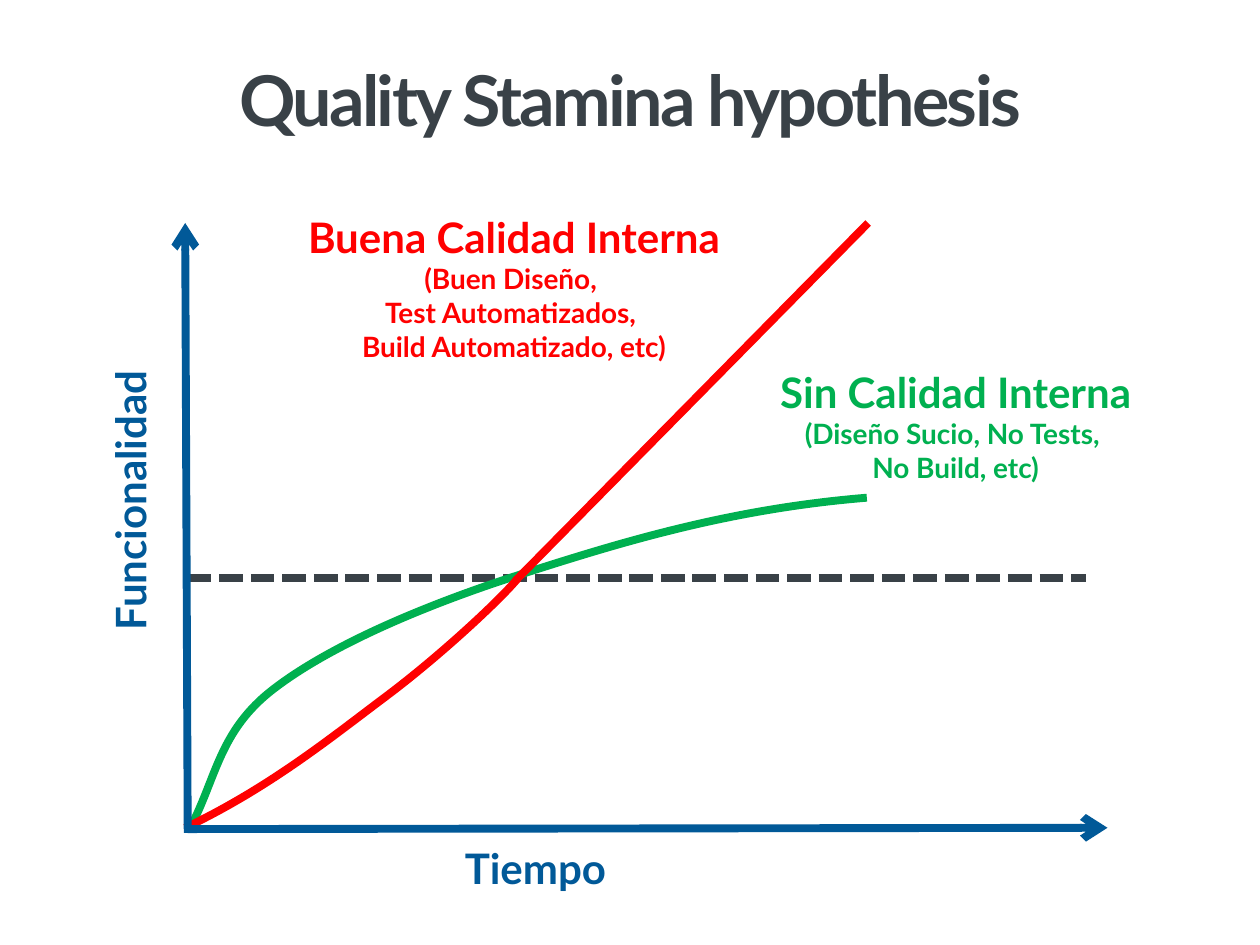
import copy

import pptx
import pptx.util
import pptx.dml.color
import pptx.enum.dml
import pptx.enum.shapes
import pptx.enum.text
import pptx.oxml
import pptx.oxml.ns

# The grid: 100 columns by 75 rows
COLS, ROWS = 100, 75
CELL = pptx.util.Inches(0.1)

HUES = {"ink": "394147", "axis": "015998", "good": "FF0000", "poor": "00B050"}
FACE = "Lato"
WIDE = pptx.util.Pt(4.5)
MID = pptx.enum.text.PP_ALIGN.CENTER
qn = pptx.oxml.ns.qn


def grid(*vals):
    return [round(val * CELL) for val in vals]


def tint(hue):
    return pptx.dml.color.RGBColor.from_string(HUES[hue])


def style(font, size, hue):
    look = {"name": FACE, "size": pptx.util.Pt(size), "bold": True}
    for key, val in look.items():
        setattr(font, key, val)
    font.color.rgb = tint(hue)


def stroke(shape, hue):
    shape.line.color.rgb = tint(hue)
    shape.line.width = WIDE


def add_line(slide, start, end, hue, dash=None, arrow=False):
    kind = pptx.enum.shapes.MSO_CONNECTOR.STRAIGHT
    line = slide.shapes.add_connector(kind, *grid(*start, *end))
    stroke(line, hue)
    if dash:
        line.line.dash_style = dash
    if arrow:
        tip = pptx.oxml.parse_xml(
            f'<a:tailEnd {pptx.oxml.ns.nsdecls("a")} type="arrow"/>')
        line.line._get_or_add_ln().append(tip)
    props = line._element.spPr
    props.append(props.makeelement(qn("a:effectLst"), {}))


def add_curve(slide, start, points, hue):
    """Draw Bezier pieces; each takes three of the points."""
    pen = slide.shapes.build_freeform(*grid(*start))
    pen.add_line_segments([grid(*spot) for spot in points], close=False)
    curve = pen.convert_to_shape()
    # Join each three line steps into one cubic piece
    steps = list(curve._element.iter(qn("a:lnTo")))
    for i in range(0, len(steps), 3):
        head, *rest = steps[i:i + 3]
        bend = head.makeelement(qn("a:cubicBezTo"), {})
        head.addprevious(bend)
        for step in (head, *rest):
            bend.append(step[0])
            step.getparent().remove(step)
    curve.fill.background()
    stroke(curve, hue)
    curve.shadow.inherit = False


def add_text(slide, box, lines, hue, wrap=False, align=None, vert=None):
    """Put the lines in one paragraph: the first at 24 pt, the rest at 16."""
    shape = slide.shapes.add_textbox(*grid(*box))
    frame = shape.text_frame
    look = {"word_wrap": wrap,
            "auto_size": pptx.enum.text.MSO_AUTO_SIZE.SHAPE_TO_FIT_TEXT}
    for key, val in look.items():
        setattr(frame, key, val)
    if vert:
        frame._txBody.bodyPr.set("vert", vert)
    para = frame.paragraphs[0]
    para.alignment = align
    for i, words in enumerate(lines):
        if i:
            para.add_line_break()
            # The break takes the format of the line it ends
            para._p[-1].append(copy.deepcopy(run._r.rPr))
        run = para.add_run()
        run.text = words
        style(run.font, 16 if i else 24, hue)


def add_title(slide, words):
    title = slide.shapes.title
    spots = dict(zip(("left", "top", "width", "height"), grid(5, 4.5, 90, 6.7)))
    for key, val in spots.items():
        setattr(title, key, val)
    frame = title.text_frame
    frame.vertical_anchor = pptx.enum.text.MSO_ANCHOR.MIDDLE
    para = frame.paragraphs[0]
    para.alignment = MID
    run = para.add_run()
    run.text = words
    style(run.font, 40, "ink")
    run._r.rPr.set("spc", "-150")


def main():
    deck = pptx.Presentation()
    deck.slide_width, deck.slide_height = grid(COLS, ROWS)
    slide = deck.slides.add_slide(deck.slide_layouts[5])

    # Threshold
    add_line(slide, (14.9, 45.9), (86.2, 45.9), "ink",
             dash=pptx.enum.dml.MSO_LINE.SQUARE_DOT)

    # Growth without and with internal quality
    add_curve(slide, (15.1, 65.7), [
        (17.2, 61.7), (17.4, 58), (21.7, 54.7),
        (26.1, 51.3), (33.5, 48.1), (41.3, 45.6),
        (49.1, 43.1), (57.8, 40.4), (68.8, 39.5)], "poor")
    add_line(slide, (40.9, 46.1), (68.9, 17.7), "good")
    add_curve(slide, (14.7, 65.7), [
        (21.4, 62.5), (26.2, 58.6), (30.6, 55.3),
        (35, 52), (39.8, 47.5), (41.1, 45.9)], "good")

    add_title(slide, "Quality Stamina hypothesis")

    # Axes
    add_line(slide, (14.9, 66.1), (14.7, 17.7), "axis", arrow=True)
    add_line(slide, (14.9, 65.8), (87.9, 65.7), "axis", arrow=True)

    # Labels
    add_text(slide, (35.9, 66.4, 15.1, 5), ["Tiempo"], "axis")
    add_text(slide, (15, 16.3, 51.6, 13.1),
             ["Buena Calidad Interna", "(Buen Diseño, ",
              "Test Automatizados, ", "Build Automatizado, etc)"],
             "good", wrap=True, align=MID)
    add_text(slide, (7.8, 25.4, 6.1, 25.6), ["Funcionalidad"], "axis",
             vert="vert270")
    add_text(slide, (57.3, 28.6, 37.1, 10.4),
             ["Sin Calidad Interna", "(Diseño Sucio, No Tests, ",
              "No Build, etc)"],
             "poor", wrap=True, align=MID)

    deck.save("out.pptx")


if __name__ == "__main__":
    main()
